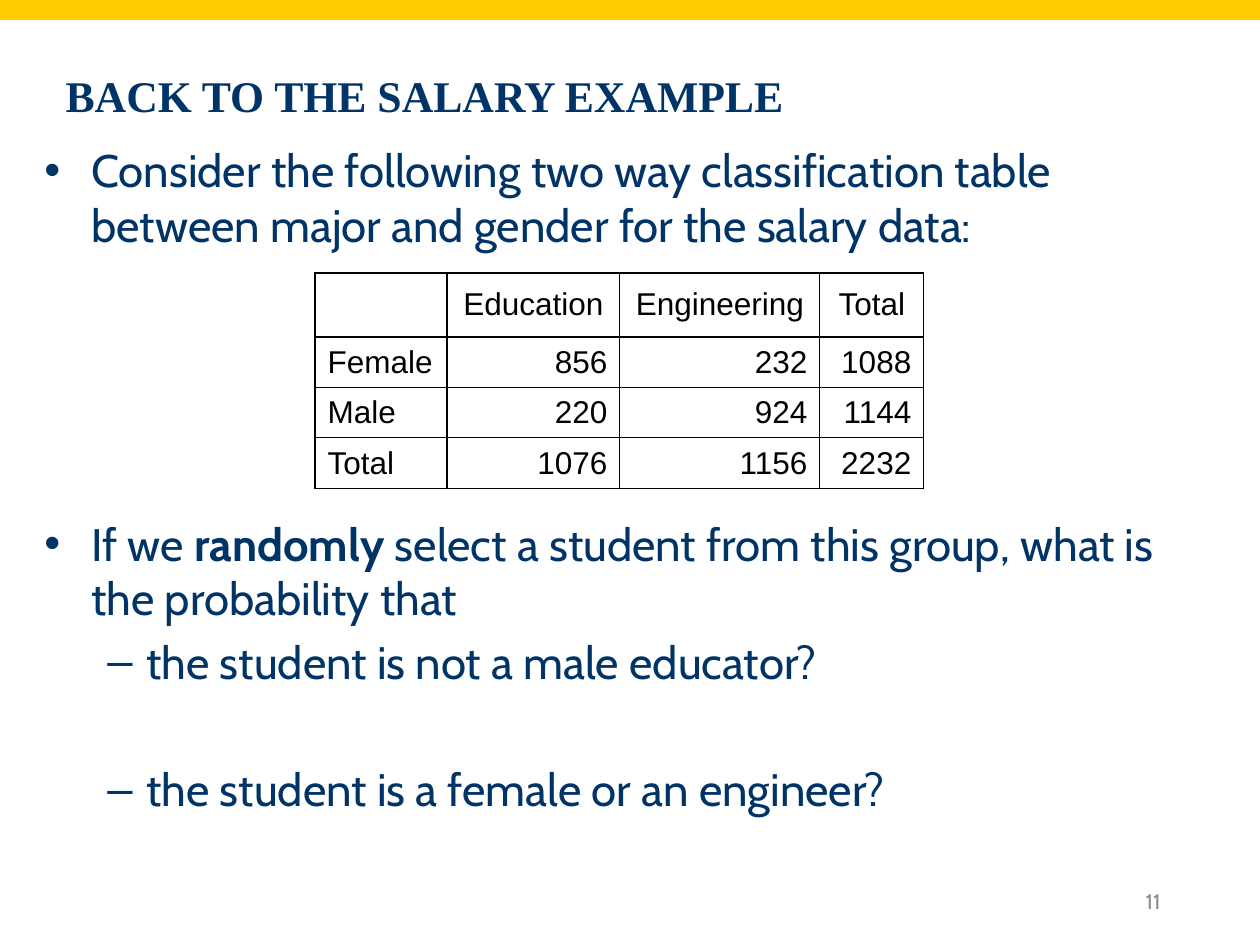
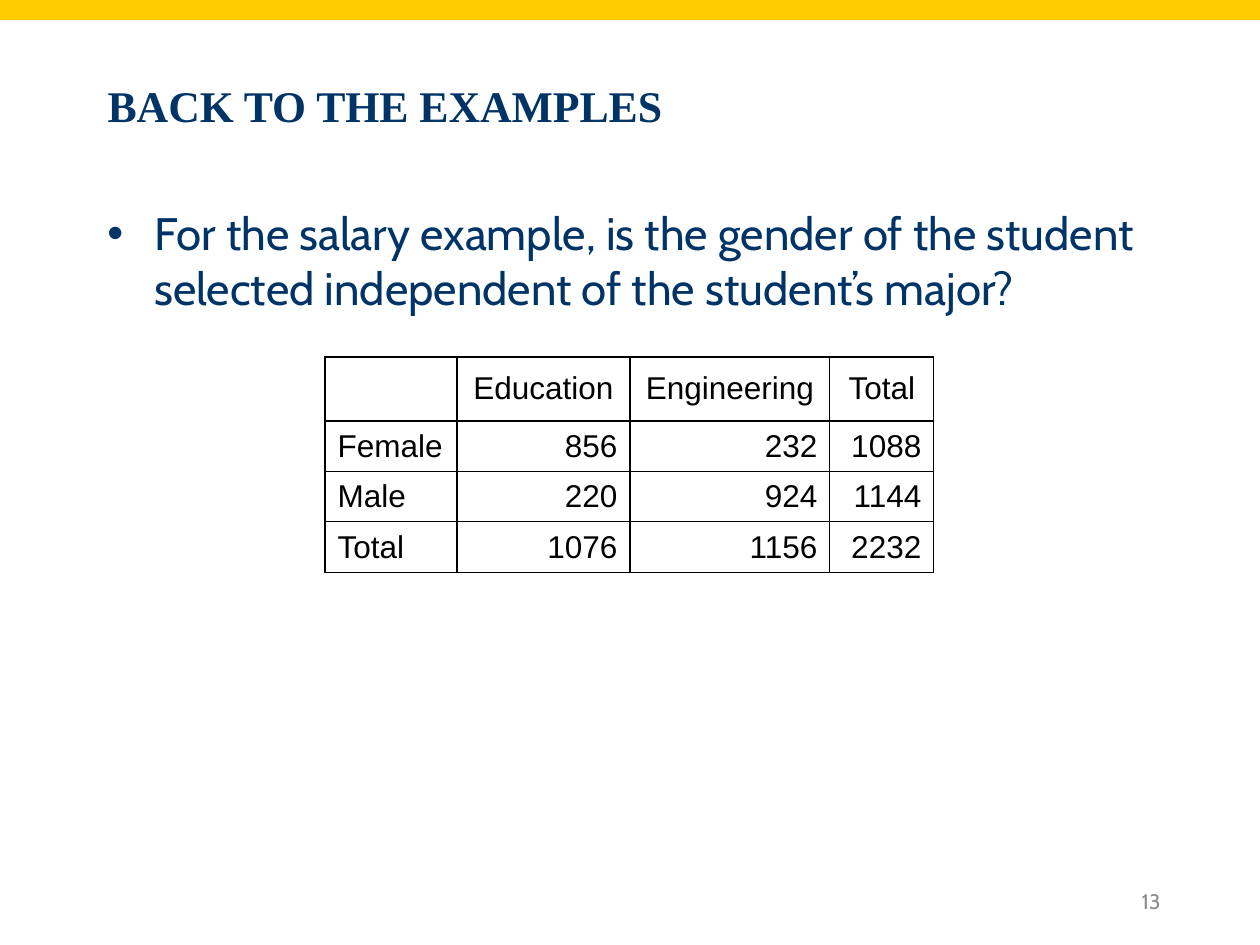
from lxml.etree import SubElement
from pptx import Presentation
from pptx.dml.color import RGBColor
from pptx.enum.shapes import MSO_SHAPE as Shape
from pptx.enum.text import MSO_ANCHOR as Anchor, MSO_AUTO_SIZE as AutoSize, PP_ALIGN as Align
from pptx.oxml.ns import qn
from pptx.util import Pt

PX = 914400 / 126
NAVY, GOLD, GREY, BLACK, WHITE = "003366", "FFCC00", "8C8C8C", "000000", "FFFFFF"
TITLE_FONT, BODY_FONT, TABLE_FONT = "Times New Roman", "Cabin", "Arial"
BULLETS = {0: ("•", 47, -47), 1: ("–", 102, -39)}
GAP = 5.2
COLUMN_WIDTHS = [132, 173, 200, 104]
ROW_HEIGHTS = [64, 50, 50, 51]
SALARY_COUNTS = [
    ["", "Education", "Engineering", "Total"],
    ["Female", "856", "232", "1088"],
    ["Male", "220", "924", "1144"],
    ["Total", "1076", "1156", "2232"],
]


def px(length):
    return round(length * PX)


def color(value):
    return RGBColor.from_string(value)


def add_run(paragraph, text, size, font, ink, bold=False):
    run = paragraph.add_run()
    run.text = text
    run.font.size = Pt(size)
    run.font.name = font
    run.font.bold = bold
    run.font.color.rgb = color(ink)


def add_band(slide):
    band = slide.shapes.add_shape(Shape.RECTANGLE, 0, 0, px(1260), px(20))
    band.shadow.inherit = False
    band.fill.solid()
    band.fill.fore_color.rgb = color(GOLD)
    band.line.fill.background()


def set_title(slide, text, left, top):
    title = slide.shapes.title
    title.left, title.top, title.width, title.height = map(px, (left, top, 1071, 105))
    frame = title.text_frame
    frame.auto_size = AutoSize.NONE
    frame.vertical_anchor = Anchor.MIDDLE
    paragraph = frame.paragraphs[0]
    paragraph.alignment = Align.LEFT
    add_run(paragraph, text, 25, TITLE_FONT, NAVY, True)


def add_frame(slide, left, top, width, height):
    frame = slide.shapes.add_textbox(*map(px, (left, top, width, height))).text_frame
    frame.word_wrap = True
    return frame


def set_bullet(paragraph, level):
    mark, margin, indent = BULLETS[level]
    paragraph.level = level
    properties = paragraph._p.get_or_add_pPr()
    properties.set("marL", str(px(margin)))
    properties.set("indent", str(px(indent)))
    SubElement(properties, qn("a:buFont"), typeface="Arial")
    SubElement(properties, qn("a:buChar"), char=mark)


def add_bullets(slide, box, points):
    frame = add_frame(slide, *box)
    for index, (level, space_before, pieces) in enumerate(points):
        paragraph = frame.add_paragraph() if index else frame.paragraphs[0]
        paragraph.space_before = Pt(space_before)
        set_bullet(paragraph, level)
        for text, bold in pieces:
            add_run(paragraph, text, 26, BODY_FONT, NAVY, bold)


def set_borders(cell):
    properties = cell._tc.get_or_add_tcPr()
    for side in ("lnL", "lnR", "lnT", "lnB"):
        line = SubElement(properties, qn(f"a:{side}"), w=str(Pt(0.75)))
        fill = SubElement(line, qn("a:solidFill"))
        SubElement(fill, qn("a:srgbClr"), val=BLACK)


def fill_cell(cell, text, alignment):
    set_borders(cell)
    cell.fill.solid()
    cell.fill.fore_color.rgb = color(WHITE)
    cell.vertical_anchor = Anchor.MIDDLE
    paragraph = cell.text_frame.paragraphs[0]
    paragraph.alignment = alignment
    if text:
        add_run(paragraph, text, 18, TABLE_FONT, BLACK)
    else:
        paragraph.font.size = Pt(18)


def add_salary_table(slide, left, top):
    size = px(sum(COLUMN_WIDTHS)), px(sum(ROW_HEIGHTS))
    table = slide.shapes.add_table(
        len(ROW_HEIGHTS), len(COLUMN_WIDTHS), px(left), px(top), *size).table
    table.first_row = table.horz_banding = False
    for column, width in zip(table.columns, COLUMN_WIDTHS):
        column.width = px(width)
    for r, (counts, height) in enumerate(zip(SALARY_COUNTS, ROW_HEIGHTS)):
        table.rows[r].height = px(height)
        for c, text in enumerate(counts):
            alignment = Align.CENTER if r == 0 else Align.RIGHT if c else Align.LEFT
            fill_cell(table.cell(r, c), text, alignment)


def add_page_number(slide, number):
    frame = add_frame(slide, 890, 876, 283, 50)
    frame.vertical_anchor = Anchor.MIDDLE
    paragraph = frame.paragraphs[0]
    paragraph.alignment = Align.RIGHT
    add_run(paragraph, str(number), 12, BODY_FONT, GREY)


def add_salary_slide(deck, title, title_at, body_box, points, table_at, number):
    slide = deck.slides.add_slide(deck.slide_layouts[5])
    add_band(slide)
    set_title(slide, title, *title_at)
    add_bullets(slide, body_box, points)
    add_salary_table(slide, *table_at)
    add_page_number(slide, number)


def main():
    deck = Presentation()
    deck.slide_width, deck.slide_height = px(1260), px(945)
    add_salary_slide(
        deck, "BACK TO THE SALARY EXAMPLE", (53, 42), (32, 136, 1197, 735),
        [
            (0, GAP, [("Consider the following two way classification table "
                       "between major and gender for the salary data:", False)]),
            (0, 151, [("If we ", False), ("randomly", True),
                      (" select a student from this group, what is the probability that", False)]),
            (1, GAP, [("the student is not a male educator?", False)]),
            (1, 41.6, [("the student is a female or an engineer?", False)]),
        ],
        (315, 273), 11)
    add_salary_slide(
        deck, "BACK TO THE EXAMPLES", (95, 53), (95, 199, 1071, 620),
        [(0, GAP, [("For the salary example, is the gender of the student "
                    "selected independent of the student’s major?", False)])],
        (325, 357), 13)
    deck.save("out.pptx")


if __name__ == "__main__":
    main()
